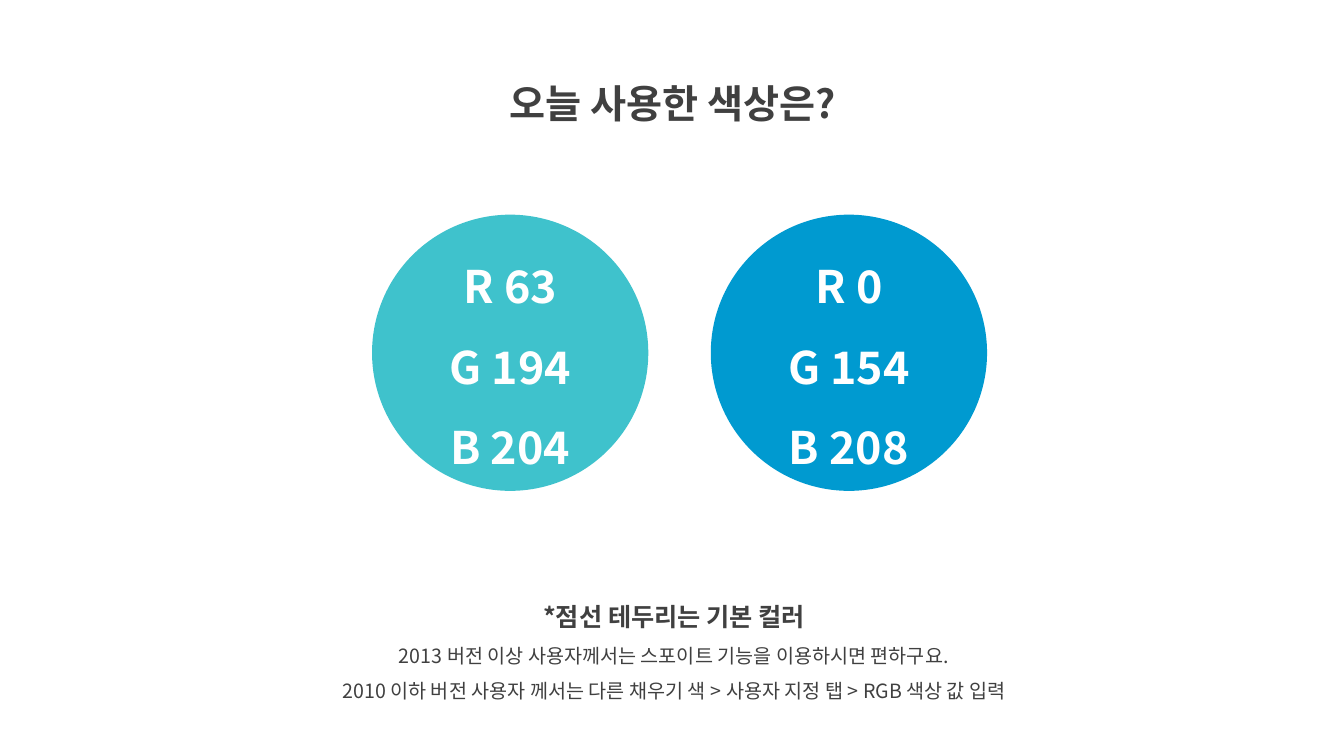
from lxml.etree import SubElement
from pptx import Presentation
from pptx.dml.color import RGBColor
from pptx.enum.shapes import MSO_SHAPE as Shape
from pptx.enum.text import MSO_ANCHOR as Anchor, MSO_AUTO_SIZE as Fit, PP_ALIGN as Align
from pptx.oxml.ns import qn
from pptx.util import Inches, Pt

FONT = "Noto Sans CJK KR"
DARK = RGBColor(0x40, 0x40, 0x40)
WHITE = RGBColor(255, 255, 255)
TEAL = RGBColor(63, 194, 204)
BLUE = RGBColor(0, 154, 208)


def write(frame, lines, color):
    """Fill a frame with centred lines of (text, size, bold)."""
    frame.word_wrap = True
    for i, (text, size, bold) in enumerate(lines):
        para = frame.add_paragraph() if i else frame.paragraphs[0]
        para.alignment = Align.CENTER
        para.line_spacing = 1.5
        run = para.add_run()
        run.text = text
        font = run.font
        font.size, font.bold, font.name = Pt(size), bold, FONT
        font.color.rgb = color
        SubElement(font._element, qn("a:ea")).set("typeface", FONT)


deck = Presentation()
deck.slide_width, deck.slide_height = Inches(13.33), Inches(7.5)
slide = deck.slides.add_slide(deck.slide_layouts[6])
shapes = slide.shapes

title = [("오늘 사용한 색상은?", 28, True)]
notes = [
    ("*점선 테두리는 기본 컬러", 18, True),
    ("2013 버전 이상 사용자께서는 스포이트 기능을 이용하시면 편하구요.", 14, False),
    ("2010 이하 버전 사용자 께서는 다른 채우기 색 > 사용자 지정 탭 > RGB 색상 값 입력", 14, False),
]
for place, lines in [((4.36, 0.5, 4.63, 0.72), title), ((2.69, 5.77, 7.99, 1.26), notes)]:
    frame = shapes.add_textbox(*map(Inches, place)).text_frame
    write(frame, lines, DARK)
    frame.auto_size = Fit.SHAPE_TO_FIT_TEXT

LEFT, TOP, SIZE, STEP = 3.69, 2.13, 2.74, 3.36
for col, color in enumerate([TEAL, BLUE]):
    disc = shapes.add_shape(Shape.OVAL, Inches(LEFT + col * STEP), Inches(TOP),
                            Inches(SIZE), Inches(SIZE))
    disc.shadow.inherit = False
    disc.fill.solid()
    disc.fill.fore_color.rgb = color
    disc.line.fill.background()
    disc.text_frame.vertical_anchor = Anchor.MIDDLE
    lines = [(f"{name} {value}", 32, True) for name, value in zip("RGB", color)]
    write(disc.text_frame, lines, WHITE)

deck.save("out.pptx")
